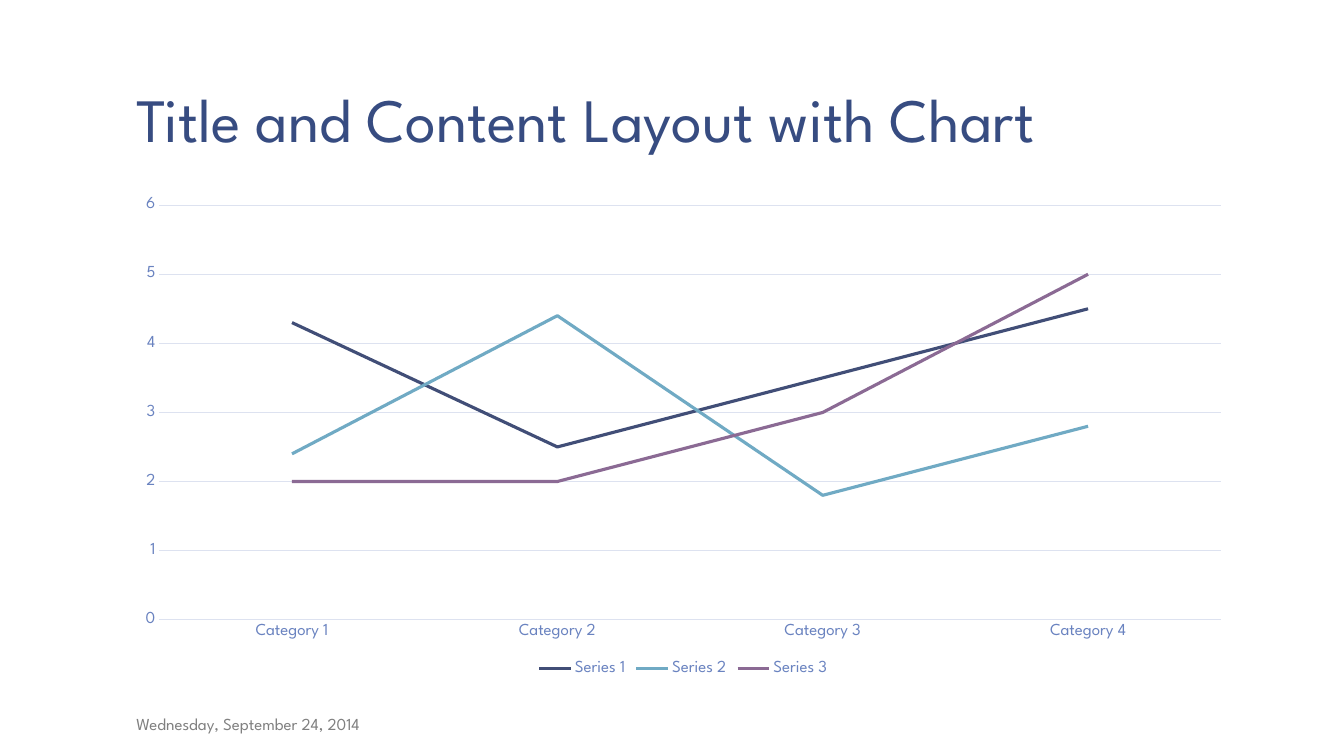
import dataclasses

import pptx
import pptx.chart.data
import pptx.dml.color
import pptx.enum.chart
import pptx.enum.text
import pptx.util

SLIDE_WIDTH = pptx.util.Inches(13.33)
SLIDE_HEIGHT = pptx.util.Inches(7.5)
COLUMN = SLIDE_WIDTH / 12
ROW = SLIDE_HEIGHT / 100

CATEGORIES = ["Category 1", "Category 2", "Category 3", "Category 4"]
SERIES = {
    "Series 1": (4.3, 2.5, 3.5, 4.5),
    "Series 2": (2.4, 4.4, 1.8, 2.8),
    "Series 3": (2, 2, 3, 5),
}


@dataclasses.dataclass(frozen=True)
class Theme:
    """Fonts, type sizes and colours of the slide."""

    font: str = "League Spartan"
    title_size: float = 44
    small_size: float = 12
    series_width: float = 2.25
    grid_width: float = 0.75
    background: str = "FFFFFF"
    title: str = "374C81"
    label: str = "6A83C0"
    grid: str = "DDE2F0"
    date: str = "808080"
    series: tuple = ("414E77", "70AAC4", "8B6A94")


THEME = Theme()


def rgb(code):
    """Turn a hex code into a colour."""
    return pptx.dml.color.RGBColor.from_string(code)


def grid_box(left, top, width, height):
    """Convert columns and rows into a box in slide units."""
    return (round(left * COLUMN), round(top * ROW),
            round(width * COLUMN), round(height * ROW))


def style_font(font, size, color):
    """Apply the theme font with a size and colour."""
    font.name = THEME.font
    font.size = pptx.util.Pt(size)
    font.bold = False
    font.color.rgb = rgb(color)


def style_line(line, width, color):
    """Give a line its width and colour."""
    line.width = pptx.util.Pt(width)
    line.color.rgb = rgb(color)


def write_text(holder, text, size, color):
    """Write one left-aligned run that stands on the bottom of its holder."""
    frame = holder.text_frame
    frame.word_wrap = True
    frame.auto_size = pptx.enum.text.MSO_AUTO_SIZE.NONE
    frame.vertical_anchor = pptx.enum.text.MSO_ANCHOR.BOTTOM
    frame.margin_left = frame.margin_right = pptx.util.Inches(0.13)
    frame.margin_top = frame.margin_bottom = pptx.util.Inches(0.07)
    paragraph = frame.paragraphs[0]
    paragraph.alignment = pptx.enum.text.PP_ALIGN.LEFT
    run = paragraph.add_run()
    run.text = text
    style_font(run.font, size, color)
    return paragraph


def place_title(slide, box, text):
    """Move the title placeholder to its box and fill it."""
    title = slide.shapes.title
    title.left, title.top, title.width, title.height = box
    paragraph = write_text(title, text, THEME.title_size, THEME.title)
    paragraph.line_spacing = 0.85


def style_axes(chart):
    """Format the category and value axes."""
    for axis in (chart.category_axis, chart.value_axis):
        axis.major_tick_mark = pptx.enum.chart.XL_TICK_MARK.NONE
        axis.minor_tick_mark = pptx.enum.chart.XL_TICK_MARK.NONE
        style_font(axis.tick_labels.font, THEME.small_size, THEME.label)
    style_line(chart.category_axis.format.line, THEME.grid_width, THEME.grid)
    values = chart.value_axis
    values.minimum_scale, values.maximum_scale, values.major_unit = 0, 6, 1
    values.format.line.fill.background()
    style_line(values.major_gridlines.format.line, THEME.grid_width, THEME.grid)


def place_chart(slide, box):
    """Draw the line chart with its legend below."""
    chart_data = pptx.chart.data.CategoryChartData()
    chart_data.categories = CATEGORIES
    for name, values in SERIES.items():
        chart_data.add_series(name, values)
    chart = slide.shapes.add_chart(
        pptx.enum.chart.XL_CHART_TYPE.LINE, *box, chart_data).chart
    style_font(chart.font, THEME.small_size, THEME.label)
    chart.has_title = False
    chart.has_legend = True
    chart.legend.position = pptx.enum.chart.XL_LEGEND_POSITION.BOTTOM
    chart.legend.include_in_layout = False
    style_font(chart.legend.font, THEME.small_size, THEME.label)
    chart.plots[0].vary_by_categories = False
    style_axes(chart)
    for series, color in zip(chart.plots[0].series, THEME.series):
        series.smooth = False
        series.marker.style = pptx.enum.chart.XL_MARKER_STYLE.NONE
        style_line(series.format.line, THEME.series_width, color)


def place_date(slide, box, text):
    """Write the date at the foot of the slide."""
    date = slide.shapes.add_textbox(*box)
    write_text(date, text, THEME.small_size, THEME.date)


def build_chart_slide(presentation):
    """Add the slide with a title, a chart and a date."""
    slide = presentation.slides.add_slide(presentation.slide_layouts[5])
    slide.background.fill.solid()
    slide.background.fill.fore_color.rgb = rgb(THEME.background)
    place_title(slide, grid_box(1.1, 1.07, 10, 20.4),
                "Title and Content Layout with Chart")
    place_chart(slide, grid_box(1.1, 24.8, 10, 65.2))
    place_date(slide, grid_box(1.1, 93.33, 2.7, 4.67),
               "Wednesday, September 24, 2014")


def main():
    """Build and save the presentation."""
    presentation = pptx.Presentation()
    presentation.slide_width = SLIDE_WIDTH
    presentation.slide_height = SLIDE_HEIGHT
    build_chart_slide(presentation)
    presentation.save("out.pptx")


if __name__ == "__main__":
    main()
